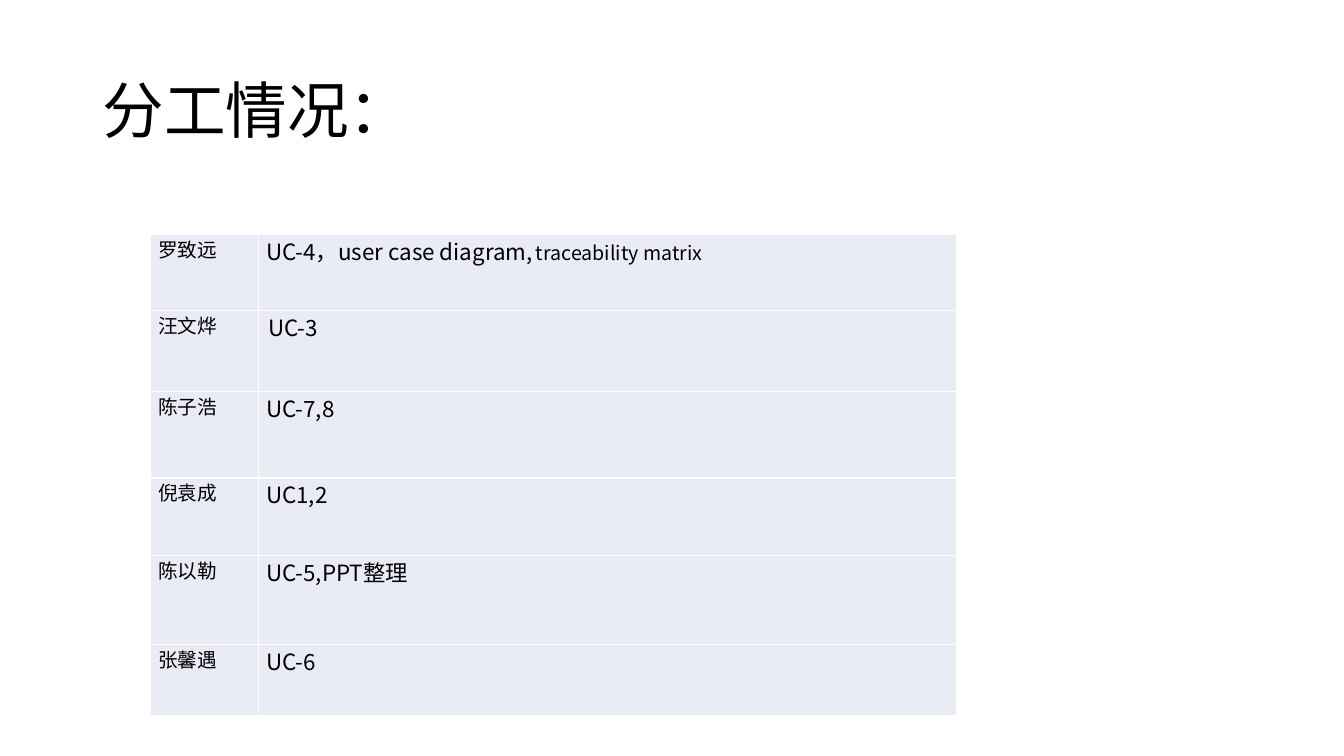
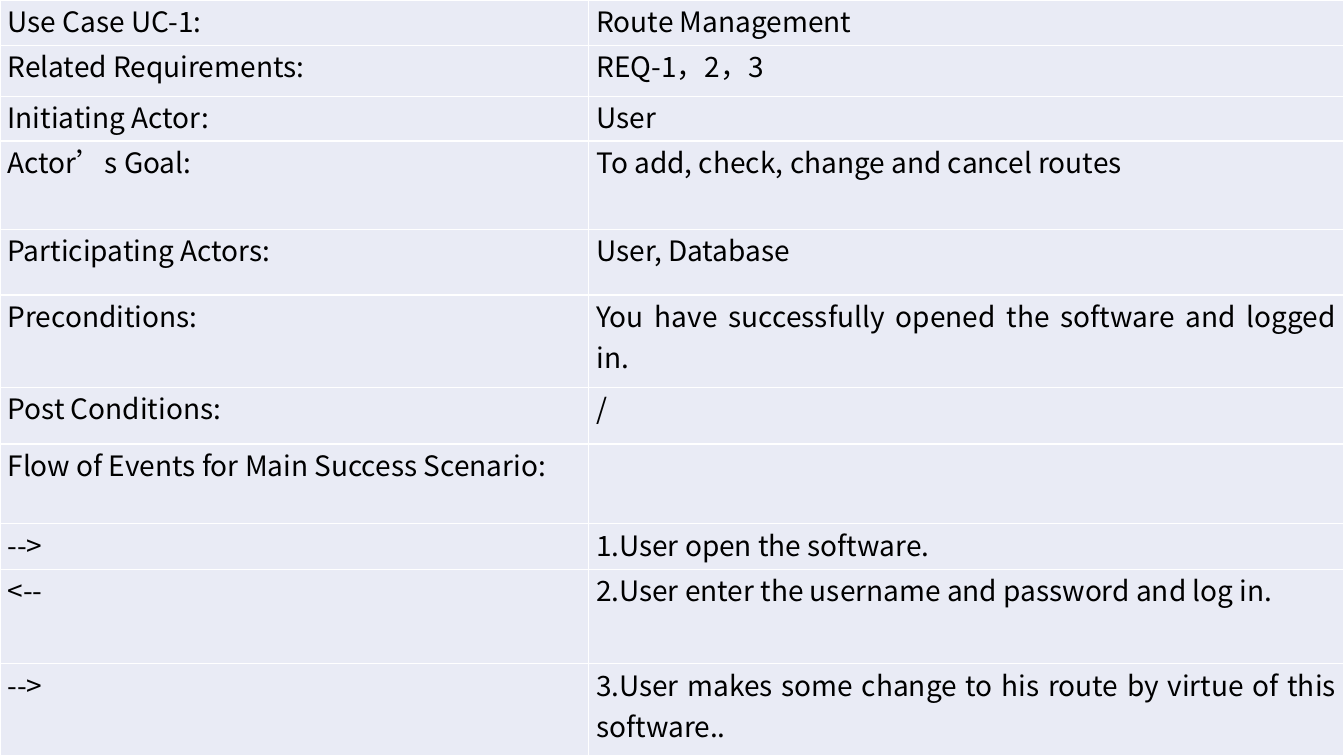
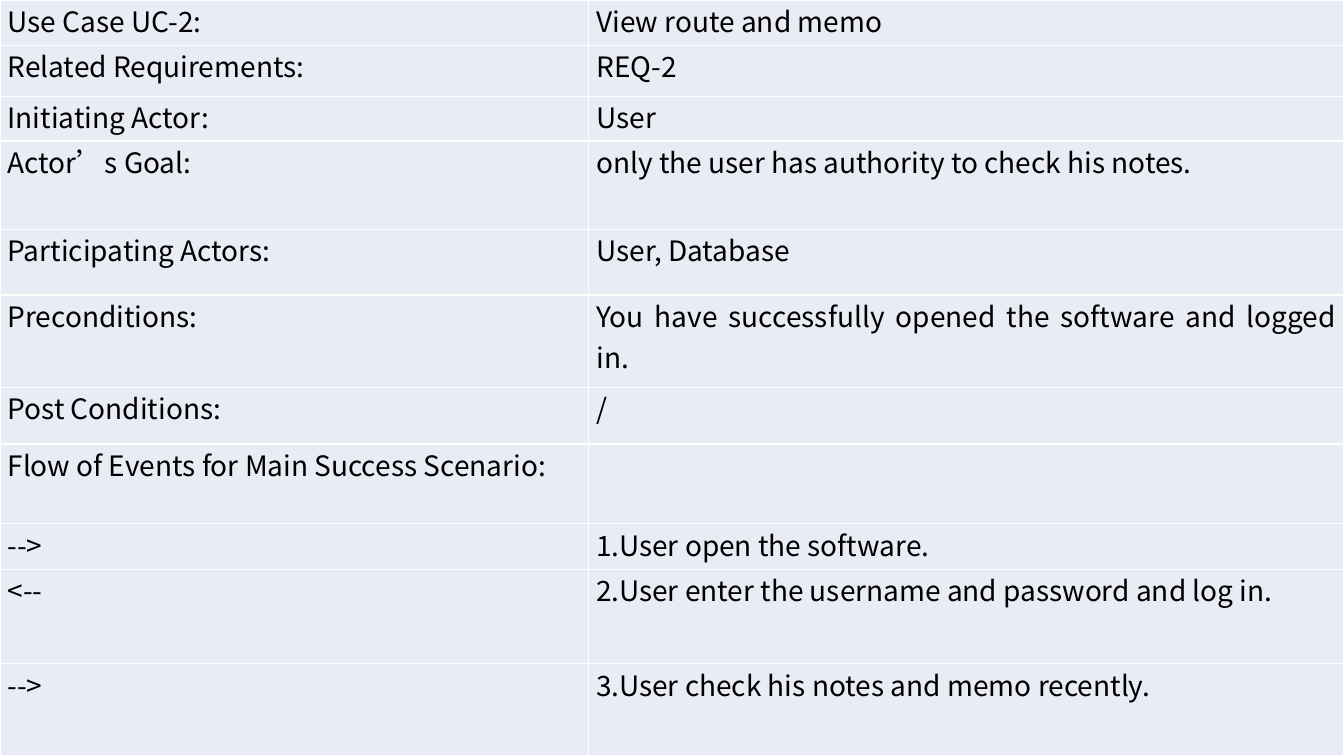
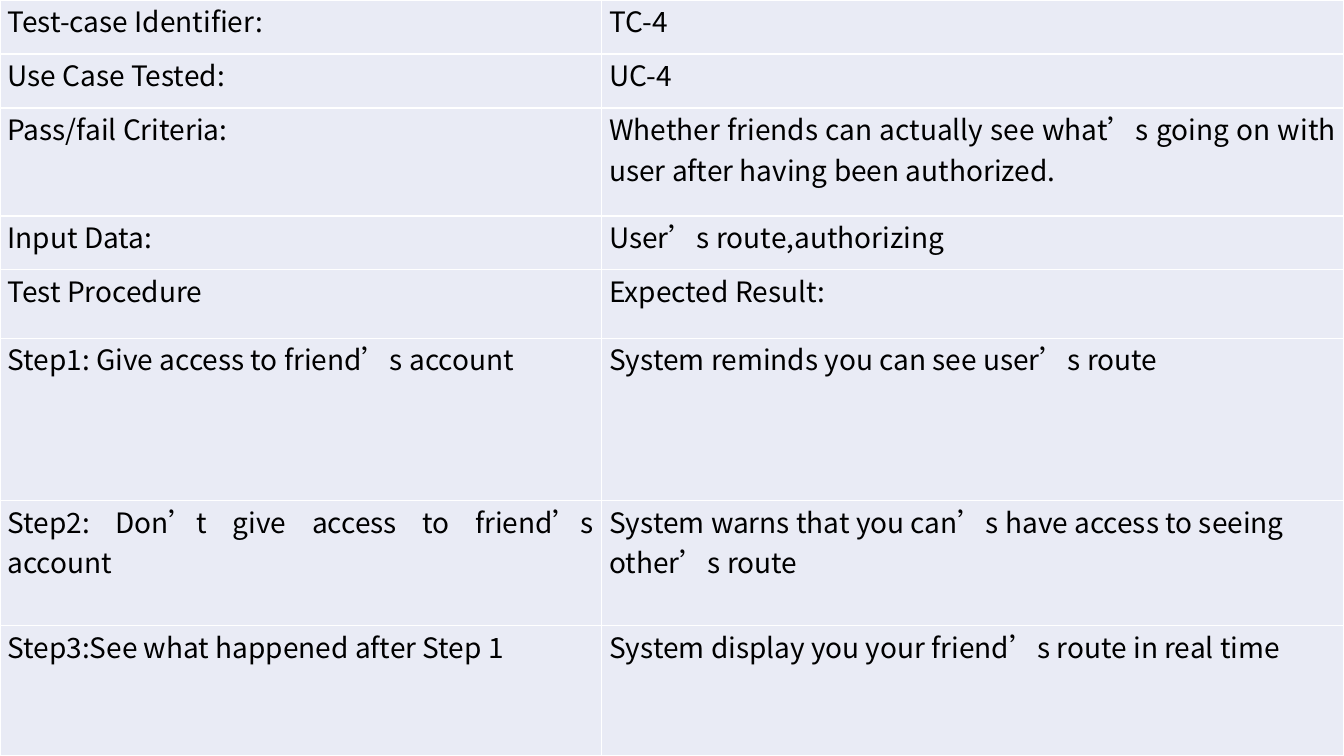
"""Build four slides of work assignments, use cases and a test case."""
from dataclasses import dataclass

from lxml.etree import SubElement
from pptx import Presentation
from pptx.dml.color import RGBColor
from pptx.enum.text import MSO_ANCHOR, MSO_AUTO_SIZE, PP_ALIGN
from pptx.oxml import parse_xml
from pptx.oxml.ns import nsdecls, qn
from pptx.util import Pt


@dataclass(frozen=True)
class Theme:
    """Colours, font and type sizes that the slides share."""
    font: str = "Noto Sans CJK SC"
    ink: str = "000000"
    cell: str = "E9EBF5"
    border: str = "FFFFFF"
    title_size: float = 44
    body_size: float = 20
    task_size: float = 16
    name_size: float = 14
    space_size: float = 10.5


THEME = Theme()
SLIDE_WIDTH, SLIDE_HEIGHT = 960, 540
CELL_FORMAT = {"margin_left": Pt(5.4), "margin_right": Pt(5.4),
               "margin_top": 0, "margin_bottom": 0,
               "vertical_anchor": MSO_ANCHOR.TOP}
TITLE_FORMAT = {"left": Pt(66), "top": Pt(28.75), "width": Pt(828), "height": Pt(104.4)}
TITLE_FRAME_FORMAT = {"vertical_anchor": MSO_ANCHOR.MIDDLE, "word_wrap": True,
                      "auto_size": MSO_AUTO_SIZE.NONE}

ASSIGNMENT_TITLE = "分工情况："
ASSIGNMENTS = [
    ("罗致远", [("UC-4，user case diagram,", THEME.task_size),
             (" ", THEME.space_size), ("traceability matrix", THEME.name_size)]),
    ("汪文烨", "UC-3"),
    ("陈子浩", "UC-7,8"),
    ("倪袁成", "UC1,2"),
    ("陈以勒", "UC-5,PPT整理"),
    ("张馨遇", "UC-6"),
]
USE_CASES = [
    {"number": 1, "name": "Route Management", "requirements": "REQ-1，2，3",
     "goal": "To add, check, change and cancel routes",
     "last_step": "3.User makes some change to his route by virtue of this software.."},
    {"number": 2, "name": "View route and memo", "requirements": "REQ-2",
     "goal": "only the user has authority to check his notes.",
     "last_step": "3.User check his notes and memo recently."},
]
USE_CASE_ROWS = [
    ("Use Case UC-{number}:", "{name}"),
    ("Related Requirements:", "{requirements}"),
    ("Initiating Actor:", "User"),
    ("Actor’s Goal:", "{goal}"),
    ("Participating Actors:", "User, Database"),
    ("Preconditions:", "You have successfully opened the software and logged in."),
    ("Post Conditions:", "/"),
    ("Flow of Events for Main Success Scenario:", ""),
    ("-->", "1.User open the software."),
    ("<--", "2.User enter the username and password and log in."),
    ("-->", "{last_step}"),
]
TEST_CASE_ROWS = [
    ("Test-case Identifier:", "TC-4"),
    ("Use Case Tested:", "UC-4"),
    ("Pass/fail Criteria:",
     "Whether friends can actually see what’s going on with user after having been authorized."),
    ("Input Data:", "User’s route,authorizing"),
    ("Test Procedure", "Expected Result:"),
    ("Step1: Give access to friend’s account", "System reminds you can see user’s route"),
    ("Step2: Don’t give access to friend’s account",
     "System warns that you can’s have access to seeing other’s route"),
    ("Step3:See what happened after Step 1",
     "System display you your friend’s route in real time"),
]

ASSIGNMENT_GRID = {"left": 107.5, "top": 167.3, "columns": (77.2, 498.8),
                   "rows": (54.5, 57.7, 62, 55.3, 63.4, 51),
                   "sizes": (THEME.name_size, THEME.task_size), "indents": {(1, 1): 1.5}}
USE_CASE_GRID = {"columns": (420.6, 539.4),
                 "rows": (32.3, 36.5, 32, 63, 47, 66, 40.5, 57, 32.5, 67.5, 65.7),
                 "left_aligned": {(9, 1)}}
TEST_CASE_GRID = {"columns": (429.8, 530.2),
                  "rows": (38.6, 38.6, 77.1, 38.3, 49.2, 115.8, 89.3, 93.1),
                  "left_aligned": {(5, 1), (6, 1), (7, 0), (7, 1)}}


def apply_format(target, values):
    """Set each named attribute of the target."""
    for name, value in values.items():
        setattr(target, name, value)


def add_run(paragraph, text, size):
    """Add a run in the shared font and colour."""
    run = paragraph.add_run()
    run.text = text
    apply_format(run.font, {"size": Pt(size), "name": THEME.font})
    run.font.color.rgb = RGBColor.from_string(THEME.ink)
    SubElement(run.font._element, qn("a:ea")).set("typeface", THEME.font)


def style_cell(cell):
    """Give a cell its margins, fill and four borders."""
    apply_format(cell, CELL_FORMAT)
    cell.fill.solid()
    cell.fill.fore_color.rgb = RGBColor.from_string(THEME.cell)
    properties = cell._tc.get_or_add_tcPr()
    for position, side in enumerate("LRTB"):
        properties.insert(position, parse_xml(
            f'<a:ln{side} {nsdecls("a")} w="{Pt(1)}"><a:solidFill>'
            f'<a:srgbClr val="{THEME.border}"/></a:solidFill></a:ln{side}>'))


def add_table(slide, content, columns, rows, left=0, top=0,
              sizes=(THEME.body_size, THEME.body_size), left_aligned=(), indents=None):
    """Add a table whose grid follows the column widths and row heights."""
    shape = slide.shapes.add_table(len(rows), len(columns), Pt(left), Pt(top),
                                   Pt(sum(columns)), Pt(sum(rows)))
    table = shape.table
    apply_format(table, {"first_row": False, "horz_banding": False})
    for column, width in zip(table.columns, columns):
        column.width = Pt(width)
    for row, height in zip(table.rows, rows):
        row.height = Pt(height)
    for row_index, texts in enumerate(content):
        for column_index, text in enumerate(texts):
            place = (row_index, column_index)
            cell = table.cell(*place)
            style_cell(cell)
            paragraph = cell.text_frame.paragraphs[0]
            paragraph.alignment = PP_ALIGN.LEFT if place in left_aligned else PP_ALIGN.JUSTIFY
            if indents and place in indents:
                paragraph._p.get_or_add_pPr().set("marL", str(Pt(indents[place])))
            runs = [(text, sizes[column_index])] if isinstance(text, str) else text
            for run_text, size in runs:
                if run_text:
                    add_run(paragraph, run_text, size)


def add_title(slide, text):
    """Place and format the title placeholder."""
    title = slide.shapes.title
    apply_format(title, TITLE_FORMAT)
    apply_format(title.text_frame, TITLE_FRAME_FORMAT)
    paragraph = title.text_frame.paragraphs[0]
    apply_format(paragraph, {"alignment": PP_ALIGN.LEFT, "line_spacing": 0.9})
    add_run(paragraph, text, THEME.title_size)


def main():
    """Build and save the presentation."""
    presentation = Presentation()
    apply_format(presentation, {"slide_width": Pt(SLIDE_WIDTH), "slide_height": Pt(SLIDE_HEIGHT)})
    title_only, blank = presentation.slide_layouts[5], presentation.slide_layouts[6]

    slide = presentation.slides.add_slide(title_only)
    add_title(slide, ASSIGNMENT_TITLE)
    add_table(slide, ASSIGNMENTS, **ASSIGNMENT_GRID)

    for use_case in USE_CASES:
        content = [[text.format(**use_case) for text in row] for row in USE_CASE_ROWS]
        add_table(presentation.slides.add_slide(blank), content, **USE_CASE_GRID)

    add_table(presentation.slides.add_slide(blank), TEST_CASE_ROWS, **TEST_CASE_GRID)
    presentation.save("out.pptx")


if __name__ == "__main__":
    main()
